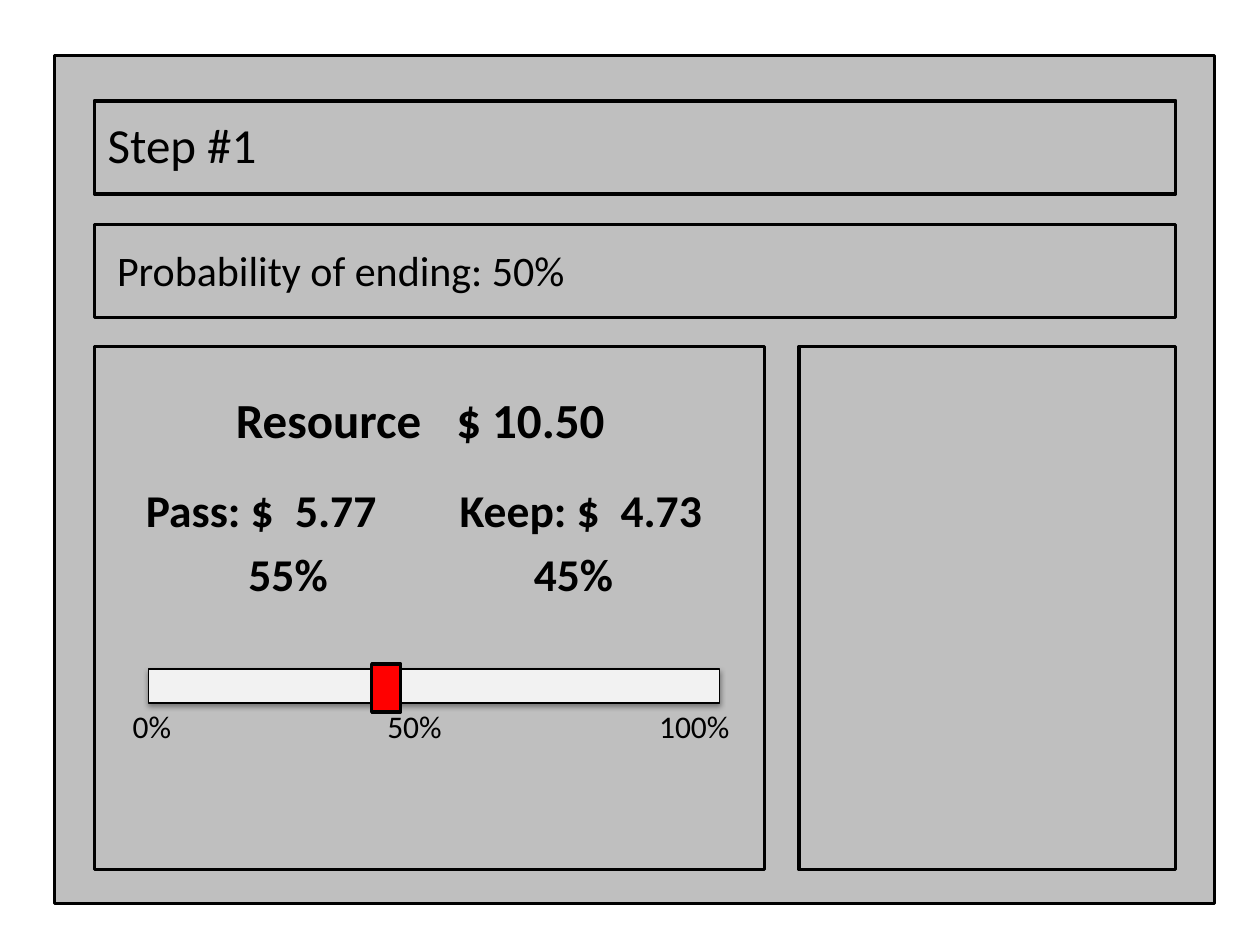
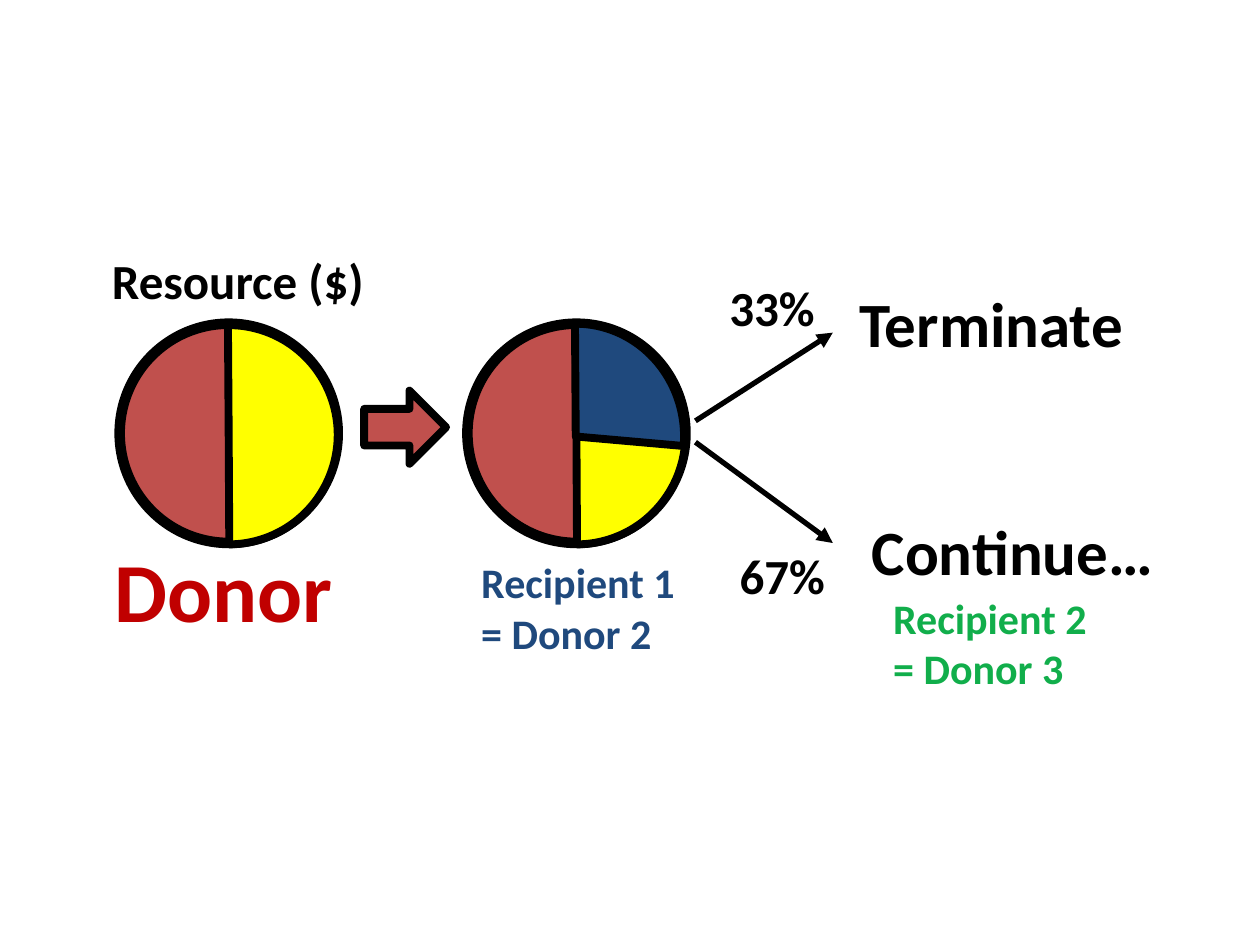
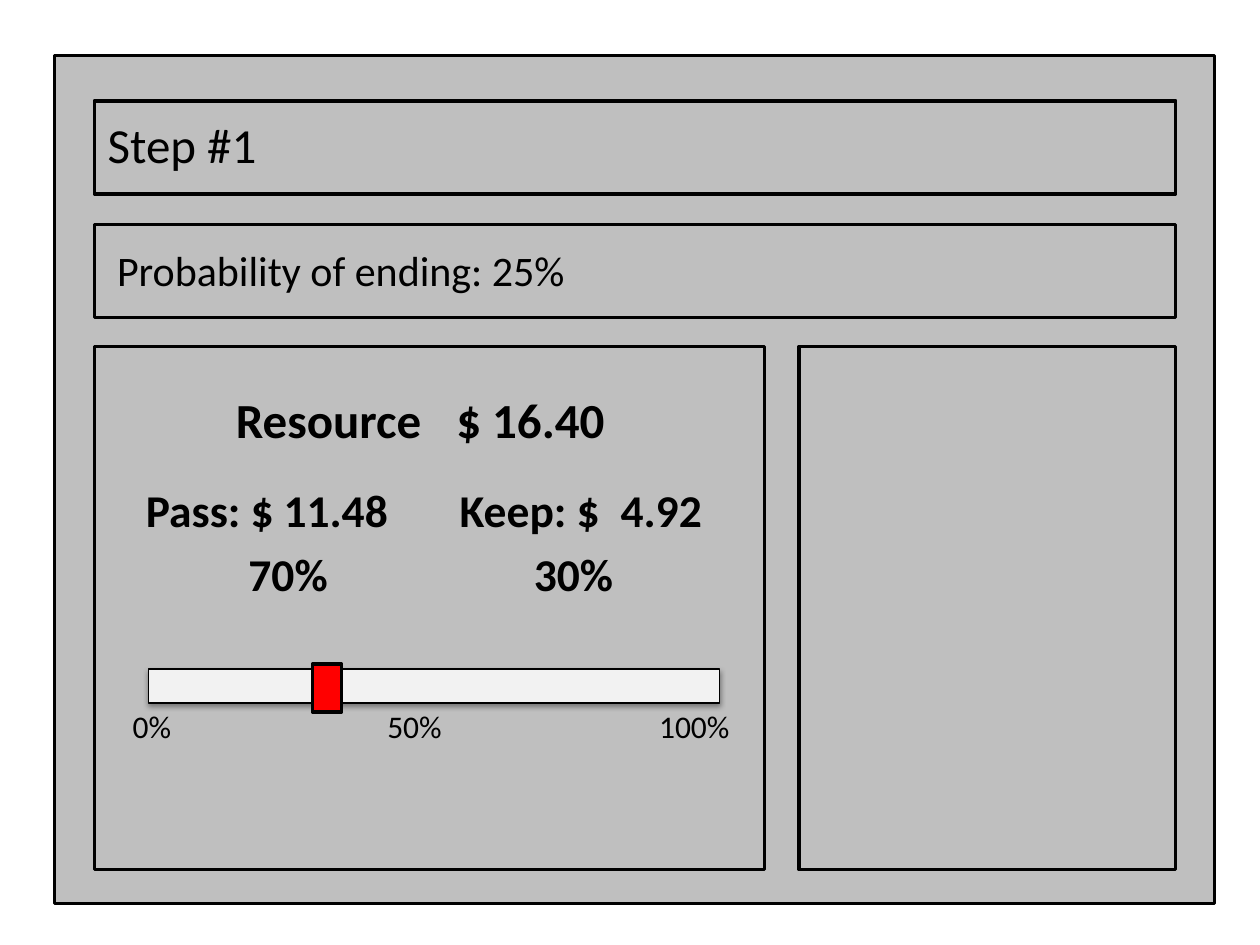
import lxml.etree
import pptx
import pptx.dml.color
import pptx.enum.shapes
import pptx.enum.text
import pptx.oxml
import pptx.oxml.ns
import pptx.util

Pt = pptx.util.Pt
SHAPES = pptx.enum.shapes.MSO_SHAPE
ANCHORS = pptx.enum.text.MSO_ANCHOR
FONT = "Calibri"
COLORS = {
    "ink": "000000", "screen": "BFBFBF", "track": "F2F2F2", "handle": "FF0000",
    "donor": "C0504D", "donor_text": "C00000", "rest": "FFFF00",
    "recipient": "1F497D", "next": "11AE4B",
}


def color(name):
    """Return the named colour."""
    return pptx.dml.color.RGBColor.from_string(COLORS[name])


def add_element(parent, tag, **attributes):
    """Append a drawing element with its attributes."""
    element = lxml.etree.SubElement(parent, pptx.oxml.ns.qn(tag))
    for name, value in attributes.items():
        element.set(name, str(value))
    return element


def add_shape(page, kind, left, top, width, height, fill=None, weight=2):
    """Add an outlined shape, unfilled unless a colour is named."""
    shape = page.shapes.add_shape(kind, Pt(left), Pt(top), Pt(width), Pt(height))
    shape.shadow.inherit = False
    if fill:
        shape.fill.solid()
        shape.fill.fore_color.rgb = color(fill)
    else:
        shape.fill.background()
    shape.line.color.rgb = color("ink")
    shape.line.width = Pt(weight)
    return shape


def add_text(page, left, top, width, height, lines, size, bold=False, ink="ink",
             wrap=True, grow=False, anchor=ANCHORS.TOP, spacing=0.0):
    """Add a text box; each line is its text and a list of tab stops."""
    box = page.shapes.add_textbox(Pt(left), Pt(top), Pt(width), Pt(height))
    frame = box.text_frame
    frame.word_wrap = wrap
    frame.vertical_anchor = anchor
    if grow:
        frame.auto_size = pptx.enum.text.MSO_AUTO_SIZE.SHAPE_TO_FIT_TEXT
    for index, (text, stops) in enumerate(lines):
        para = frame.add_paragraph() if index else frame.paragraphs[0]
        para.space_before = Pt(size * spacing)
        if stops:
            tabs = add_element(para._p.get_or_add_pPr(), "a:tabLst")
            for position, alignment in stops:
                add_element(tabs, "a:tab", pos=int(Pt(position)), algn=alignment)
        span = para.add_run()
        span.text = text
        span.font.name = FONT
        span.font.size = Pt(size)
        span.font.bold = bold
        span.font.color.rgb = color(ink)
    return box


def add_slider(page, left, top, offset):
    """Draw the slider with its handle and percentage scale."""
    track = add_shape(page, SHAPES.RECTANGLE, left, top, 326.2, 19.4, "track", 0.75)
    effects = track._element.spPr.find(pptx.oxml.ns.qn("a:effectLst"))
    shadow = add_element(effects, "a:outerShdw", blurRad=int(Pt(3.1)), dist=int(Pt(1.6)),
                         dir=5400000, rotWithShape=0)
    tint = add_element(shadow, "a:srgbClr", val=COLORS["ink"])
    add_element(tint, "a:alpha", val=38000)
    add_text(page, left - 16.2, top + 18, 374.4, 45.4,
             [("0%\t50%\t100%", [(161, "ctr"), (341, "r")])], 18, spacing=0.2)
    add_shape(page, SHAPES.RECTANGLE, left + offset, top - 2.9, 16.6, 27.4, "handle")


def add_allocation(page, left, top, resource, passed, kept, shares, offset):
    """Draw the panel that splits the resource between passing and keeping."""
    add_shape(page, SHAPES.RECTANGLE, left, top, 383, 298.8)
    add_text(page, left + 73.7, top + 20.9, 260, 113,
             [(f"Resource\t$ {resource}", [(126, "l")])], 28, True, spacing=0.2)
    amounts = (f"Pass: $\t{passed}\tKeep: $\t{kept}",
               [(108.5, "ctr"), (179.3, "l"), (294.5, "ctr")])
    percentages = (f"\t{shares[0]}\t{shares[1]}", [(81.3, "ctr"), (244.4, "ctr")])
    add_text(page, left + 22.3, top + 54.7, 345.6, 113, [amounts, percentages],
             26, True, anchor=ANCHORS.MIDDLE, spacing=0.2)
    add_slider(page, left + 31, top + 184.3, offset)


def add_screen(page, left, top, ending, **allocation):
    """Draw the task screen with its headings and panels."""
    add_shape(page, SHAPES.RECTANGLE, left, top, 663, 484.6, "screen")
    inner = left + 23
    for offset in (25.9, 96.5):
        add_shape(page, SHAPES.RECTANGLE, inner, top + offset, 617.8, 53.3)
    add_text(page, inner + 0.5, top + 30.2, 266.4, 45.4, [("Step #1", [])], 28, spacing=0.2)
    add_text(page, inner + 5.8, top + 104.4, 612, 37.4,
             [(f"Probability of ending: {ending}", [])], 24, spacing=0.2)
    add_allocation(page, inner, top + 166.3, **allocation)
    add_shape(page, SHAPES.RECTANGLE, inner + 402.5, top + 166.3, 215.3, 298.8)


def add_pie(page, left, top, split=False):
    """Draw a halved resource, with a recipient's share if it is split again."""
    add_shape(page, SHAPES.OVAL, left, top, 124.6, 125.3, "donor", 6)
    wedges = [("rest", 0.8, 124.6, 125.3, 89.67)]
    if split:
        wedges.append(("recipient", 0, 123.8, 128.9, 5.02))
    for fill, drop, width, height, end in wedges:
        wedge = add_shape(page, SHAPES.PIE, left, top + drop, width, height, fill, 4.5)
        for index, degrees in enumerate((269.62, end)):
            wedge.adjustments[index] = degrees * 0.6


def add_branch(page, start, end):
    """Draw an arrow from start to end."""
    branch = page.shapes.add_connector(
        pptx.enum.shapes.MSO_CONNECTOR.STRAIGHT, *(Pt(value) for value in start + end))
    branch.line.color.rgb = color("ink")
    branch.line.width = Pt(3)
    add_element(branch.line._get_or_add_ln(), "a:tailEnd", type="triangle")
    add_element(branch._element.spPr, "a:effectLst")


def add_chain(page, left, top):
    """Draw the chain from the donor through the first recipient to both outcomes."""
    add_pie(page, left + 11.5, top + 45.3)
    add_pie(page, left + 210.2, top + 45.3, split=True)
    add_shape(page, SHAPES.RIGHT_ARROW, left + 151.2, top + 83.5, 46.8, 41.8, "donor", 4.5)
    for rise, target in ((100.8, 50.4), (113, 170.6)):
        add_branch(page, (left + 340.5, top + rise), (left + 419, top + target))
    labels = [
        ("Resource ($)", 0, 0, 159.8, 41, 28, "ink"),
        ("Donor", 1.4, 164.2, 140.4, 65.5, 48, "donor_text"),
        ("33%", 352.8, 15.1, 64.1, 41, 28, "ink"),
        ("67%", 358.6, 168.5, 64.1, 41, 28, "ink"),
        ("Terminate", 427, 19.4, 167, 51.1, 36, "ink"),
        ("Continue…", 434.2, 149.8, 180.7, 51.1, 36, "ink"),
    ]
    for text, across, down, width, height, size, ink in labels:
        add_text(page, left + across, top + down, width, height, [(text, [])],
                 size, True, ink, wrap=False, grow=True)
    for number, across, down, ink in ((1, 211, 175, "recipient"), (2, 446.4, 195.1, "next")):
        lines = [(f"Recipient {number}", []), (f"= Donor {number + 1}", [])]
        add_text(page, left + across, top + down, 128.9, 65.5, lines, 24, True, ink, grow=True)


def build():
    """Build and save the deck."""
    deck = pptx.Presentation()
    deck.slide_width, deck.slide_height = Pt(720), Pt(540)
    first, second, third = (deck.slides.add_slide(deck.slide_layouts[6]) for _ in range(3))
    add_screen(first, 31, 31.7, "50%", resource="10.50", passed="5.77", kept="4.73",
               shares=("55%", "45%"), offset=127.4)
    add_chain(second, 56.9, 139.7)
    add_screen(third, 31, 31.7, "25%", resource="16.40", passed="11.48", kept="4.92",
               shares=("70%", "30%"), offset=93.6)
    deck.save("out.pptx")


build()
